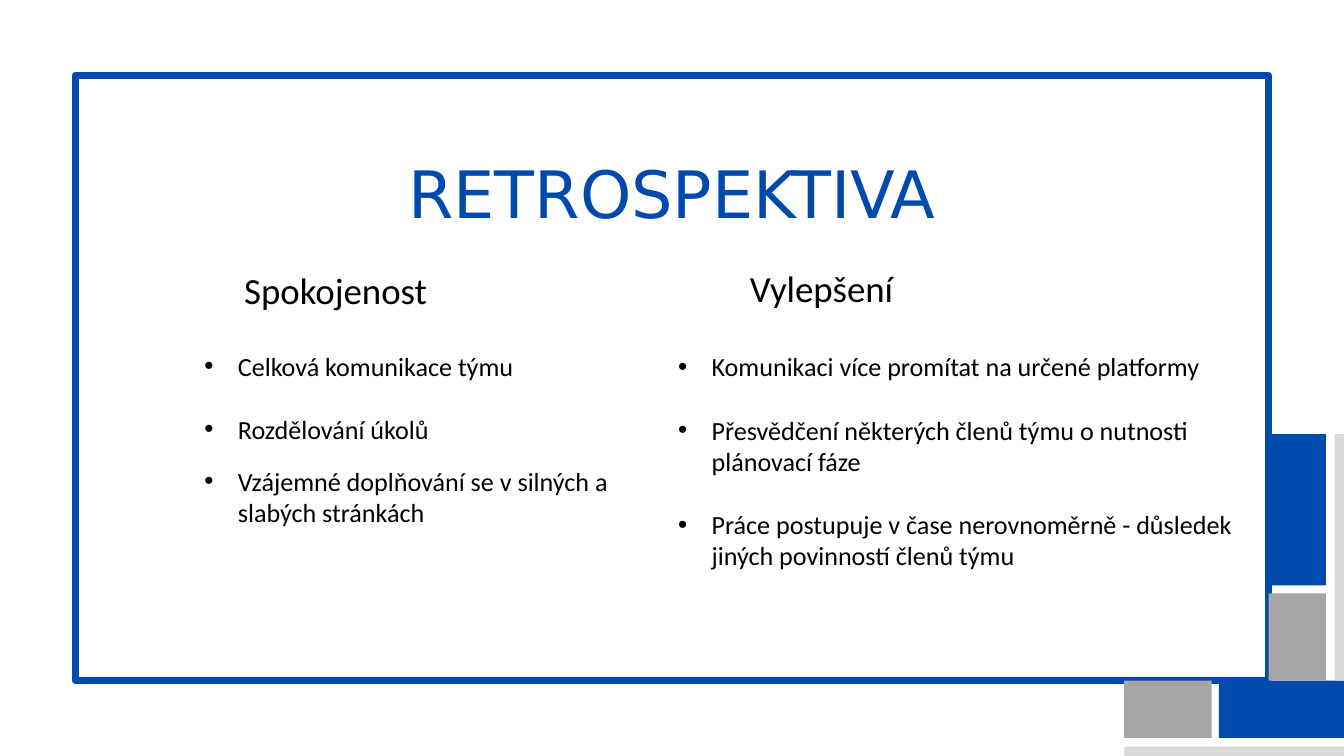
from dataclasses import dataclass

from lxml import etree
from pptx import Presentation
from pptx import util as u
from pptx.dml.color import RGBColor
from pptx.enum import shapes, text
from pptx.oxml.ns import qn


@dataclass(frozen=True)
class Theme:
    blue: RGBColor = RGBColor.from_string("004AAD")
    gray: RGBColor = RGBColor.from_string("A7A5A6")
    light_gray: RGBColor = RGBColor.from_string("D9D9D9")
    white: RGBColor = RGBColor.from_string("FFFFFF")
    black: RGBColor = RGBColor.from_string("000000")
    title_font: str = "DejaVu Sans"
    body_font: str = "Calibri"
    title_size: float = 70
    heading_size: float = 39.5
    list_size: float = 28
    frame_width: float = 7.5


class SlideBuilder:
    def __init__(self, slide, theme):
        self.slide = slide
        self.theme = theme

    def block(self, box, color):
        shape = self.slide.shapes.add_shape(
            shapes.MSO_SHAPE.RECTANGLE, *map(u.Inches, box))
        shape.shadow.inherit = False
        shape.fill.solid()
        shape.fill.fore_color.rgb = color
        shape.line.fill.background()
        return shape

    def frame(self, box):
        """Draw the outlined panel behind the title and lists."""
        shape = self.block(box, self.theme.white)
        shape.line.color.rgb = self.theme.blue
        shape.line.width = u.Pt(self.theme.frame_width)
        self.slide.shapes.title.element.addprevious(shape.element)

    def place(self, index, box):
        """Move a placeholder and return its cleared-up text frame."""
        shape = self.slide.placeholders[index]
        shape.left, shape.top, shape.width, shape.height = map(u.Inches, box)
        frame = shape.text_frame
        frame.word_wrap = True
        frame.auto_size = text.MSO_AUTO_SIZE.SHAPE_TO_FIT_TEXT
        frame.vertical_anchor = text.MSO_ANCHOR.TOP
        return frame

    def set_font(self, paragraph, name, size, color):
        font = paragraph.font
        font.name, font.size, font.bold = name, u.Pt(size), False
        font.color.rgb = color

    def line(self, index, box, words, spacing, name, size, color):
        """Fill a placeholder with one centred line of fixed height."""
        frame = self.place(index, box)
        frame.margin_left = frame.margin_right = 0
        frame.margin_top = frame.margin_bottom = 0
        paragraph = frame.paragraphs[0]
        paragraph.text = words
        paragraph.alignment = text.PP_ALIGN.CENTER
        paragraph.line_spacing = u.Pt(spacing)
        paragraph.space_before = u.Pt(0)
        self.set_font(paragraph, name, size, color)

    def title(self, box, words):
        theme = self.theme
        self.line(0, box, words, 98, theme.title_font, theme.title_size, theme.blue)

    def heading(self, index, box, words):
        theme = self.theme
        self.line(index, box, words, 56, theme.body_font, theme.heading_size, theme.black)

    def bullets(self, index, box, items):
        """Fill a placeholder with (words, points before) items."""
        frame = self.place(index, box)
        for number, (words, gap) in enumerate(items):
            paragraph = frame.add_paragraph() if number else frame.paragraphs[0]
            paragraph.text = words
            properties = paragraph._p.get_or_add_pPr()
            properties.set("marL", str(u.Inches(0.5)))
            properties.set("indent", str(-u.Inches(0.5)))
            etree.SubElement(properties, qn("a:buFont"), typeface="Arial")
            etree.SubElement(properties, qn("a:buChar"), char="•")
            paragraph.alignment = text.PP_ALIGN.LEFT
            paragraph.line_spacing = 1.0
            paragraph.space_before = u.Pt(gap)
            self.set_font(paragraph, self.theme.body_font,
                          self.theme.list_size, self.theme.black)


def main():
    presentation = Presentation()
    presentation.slide_width = u.Inches(20)
    presentation.slide_height = u.Inches(11.25)
    comparison = presentation.slide_layouts[4]
    theme = Theme()
    builder = SlideBuilder(presentation.slides.add_slide(comparison), theme)

    builder.frame((1.12, 1.12, 17.75, 9))
    builder.title((4.25, 2.09, 11.5, 1.31), "RETROSPEKTIVA")
    builder.heading(1, (2.33, 3.86, 5.33, 0.74), "Spokojenost")
    builder.heading(3, (9.56, 3.84, 5.33, 0.73), "Vylepšení")
    builder.bullets(2, (2.94, 5.16, 7.04, 2.76), [
        ("Celková komunikace týmu", 0),
        ("Rozdělování úkolů", 34),
        ("Vzájemné doplňování se v silných a slabých stránkách", 22),
    ])
    builder.bullets(4, (9.99, 5.17, 8.64, 3.4), [
        ("Komunikaci více promítat na určené platformy", 0),
        ("Přesvědčení některých členů týmu o nutnosti plánovací fáze", 34),
        ("Práce postupuje v čase nerovnoměrně - důsledek jiných povinností členů týmu", 34),
    ])

    corner_blocks = [
        ((18.14, 10.13, 2.23, 0.85), theme.blue),
        ((16.73, 10.13, 1.3, 0.85), theme.gray),
        ((16.73, 11.11, 3.65, 0.7), theme.light_gray),
        ((18.88, 6.46, 0.85, 2.25), theme.blue),
        ((18.88, 8.83, 0.85, 1.3), theme.gray),
        ((19.86, 6.46, 0.7, 3.67), theme.light_gray),
    ]
    for box, color in corner_blocks:
        builder.block(box, color)

    presentation.save("out.pptx")


if __name__ == "__main__":
    main()
